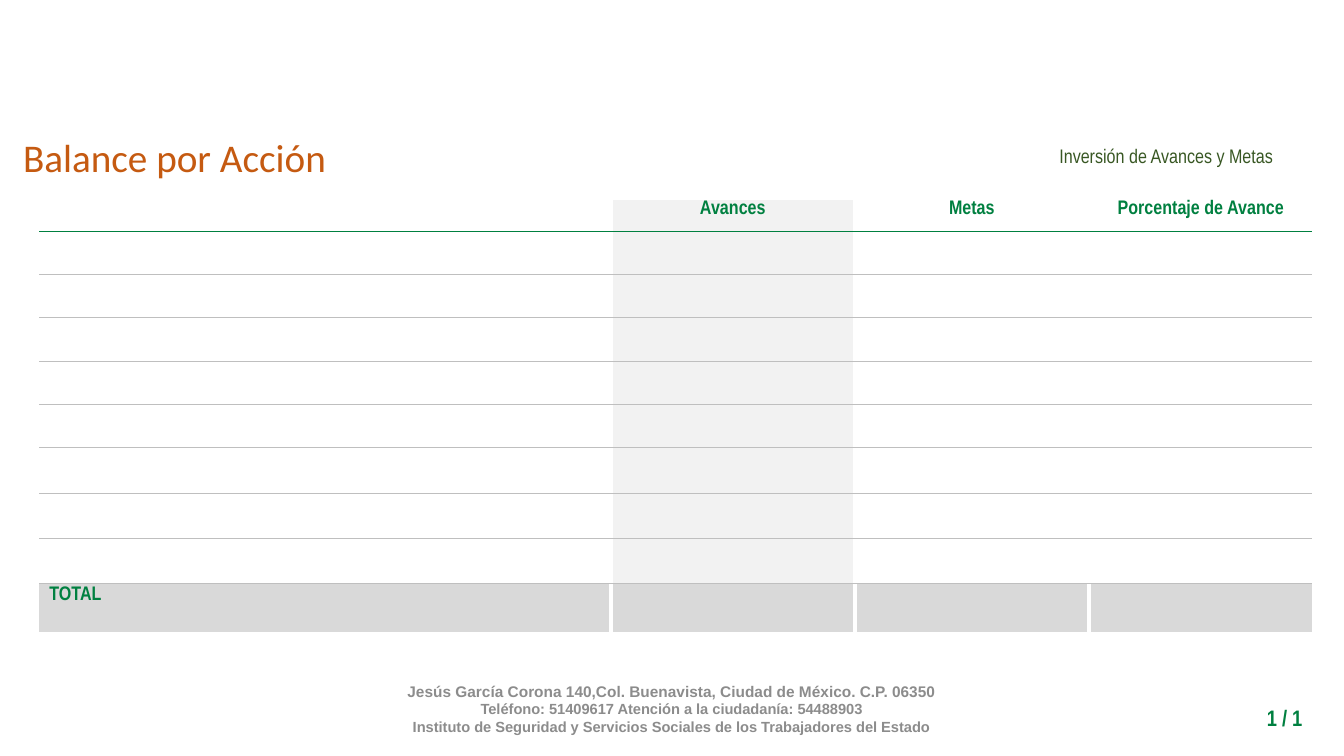
from dataclasses import dataclass
from typing import Optional

from lxml.etree import SubElement
from pptx import Presentation
from pptx.dml.color import RGBColor
from pptx.enum.text import MSO_ANCHOR, MSO_AUTO_SIZE, PP_ALIGN
from pptx.oxml.ns import qn
from pptx.util import Pt

GREEN, GRAY, WHITE = "008040", "BFBFBF", "FFFFFF"
SHADE, TOTAL = "F2F2F2", "D9D9D9"
NARROW = "Arial Narrow"
LEFT, CENTER, RIGHT = PP_ALIGN.LEFT, PP_ALIGN.CENTER, PP_ALIGN.RIGHT
TOP, MIDDLE = MSO_ANCHOR.TOP, MSO_ANCHOR.MIDDLE


@dataclass
class Line:
    text: str
    size: float


@dataclass
class Note:
    left: float
    top: float
    width: float
    height: float
    lines: list[Line]
    font: str
    color: str
    bold: bool = False
    align: PP_ALIGN = LEFT
    anchor: MSO_ANCHOR = TOP
    space: float = 1.0
    wrap: bool = True
    grow: bool = False


@dataclass
class Edge:
    color: str
    width: float


NOTES = [
    Note(207.4, 491.8, 545, 28.8,
         [Line("Jesús García Corona 140,Col. Buenavista, Ciudad de México. C.P. 06350", 11),
          Line("Teléfono: 51409617 Atención a la ciudadanía: 54488903", 10.5),
          Line("Instituto de Seguridad y Servicios Sociales de los Trabajadores del Estado", 10.5)],
         "Arial", "8C8C8C", bold=True, align=CENTER, anchor=MIDDLE),
    Note(481.7, 75.6, 434.9, 68.4, [Line("Inversión de Avances y Metas", 14)],
         NARROW, "385723", align=RIGHT, anchor=MIDDLE, space=1.15),
    Note(846.7, 499.7, 90.7, 26.6, [Line("1 / 1", 16)],
         NARROW, GREEN, bold=True, align=RIGHT, grow=True),
    Note(9.4, 91.4, 233.3, 41, [Line("Balance por Acción", 28)],
         "Calibri", "C55A11", wrap=False, grow=True),
]

HEADS = ["", "Avances", "Metas", "Porcentaje de Avance"]
COLS = [408.5, 174, 167.5, 159.5]
ROWS = [22] + [31] * 5 + [32.4] * 3 + [35.6]
LAST = len(ROWS) - 1
RULES = [None, Edge(GREEN, 0.25)] + [Edge(GRAY, 0.5)] * (LAST - 1) + [Edge(WHITE, 3)]
GAPS = [None] + [Edge(WHITE, 3)] * (len(COLS) - 1) + [None]


def paint(code: str) -> RGBColor:
    return RGBColor.from_string(code)


def write(frame, text: str, *, size: float, font: str, color: str, bold: bool = False,
          align: PP_ALIGN = LEFT, space: float = 1.0) -> None:
    para = frame.paragraphs[0] if not frame.text else frame.add_paragraph()
    para.alignment = align
    para.line_spacing = space
    run = para.add_run()
    run.text = text
    run.font.size = Pt(size)
    run.font.name = font
    run.font.bold = bold
    run.font.color.rgb = paint(color)


def draw_note(slide, note: Note) -> None:
    box = slide.shapes.add_textbox(Pt(note.left), Pt(note.top), Pt(note.width), Pt(note.height))
    frame = box.text_frame
    frame.word_wrap = note.wrap
    frame.vertical_anchor = note.anchor
    frame.auto_size = MSO_AUTO_SIZE.SHAPE_TO_FIT_TEXT if note.grow else MSO_AUTO_SIZE.NONE
    for line in note.lines:
        write(frame, line.text, size=line.size, font=note.font, color=note.color,
              bold=note.bold, align=note.align, space=note.space)


def draw_edge(cell, side: str, edge: Optional[Edge]) -> None:
    line = SubElement(cell._tc.get_or_add_tcPr(), qn(f"a:ln{side}"))
    if edge is None:
        SubElement(line, qn("a:noFill"))
        return
    line.set("w", str(Pt(edge.width)))
    fill = SubElement(line, qn("a:solidFill"))
    SubElement(fill, qn("a:srgbClr")).set("val", edge.color)


def draw_cell(cell, row: int, col: int) -> None:
    cell.margin_top = Pt(2 if row == LAST else 0)
    cell.margin_bottom = Pt(0)
    edges = {"L": GAPS[col], "R": GAPS[col + 1], "T": RULES[row], "B": RULES[row + 1]}
    for side, edge in edges.items():
        draw_edge(cell, side, edge)
    shade = TOTAL if row == LAST else SHADE if col == 1 else None
    if shade:
        cell.fill.solid()
        cell.fill.fore_color.rgb = paint(shade)
    else:
        cell.fill.background()
    text = HEADS[col] if row == 0 else "TOTAL" if (row, col) == (LAST, 0) else ""
    if text:
        write(cell.text_frame, text, size=14, font=NARROW, color=GREEN, bold=True,
              align=CENTER if row == 0 else LEFT)


def draw_table(slide) -> None:
    table = slide.shapes.add_table(len(ROWS), len(COLS), Pt(28), Pt(142.9),
                                   Pt(sum(COLS)), Pt(sum(ROWS))).table
    table.first_row = False
    table.horz_banding = False
    for col, width in enumerate(COLS):
        table.columns[col].width = Pt(width)
    for row, height in enumerate(ROWS):
        table.rows[row].height = Pt(height)
        for col in range(len(COLS)):
            draw_cell(table.cell(row, col), row, col)


def main() -> None:
    deck = Presentation()
    deck.slide_width, deck.slide_height = Pt(960), Pt(540)
    slide = deck.slides.add_slide(deck.slide_layouts[6])
    draw_table(slide)
    for note in NOTES:
        draw_note(slide, note)
    deck.save("out.pptx")


if __name__ == "__main__":
    main()
